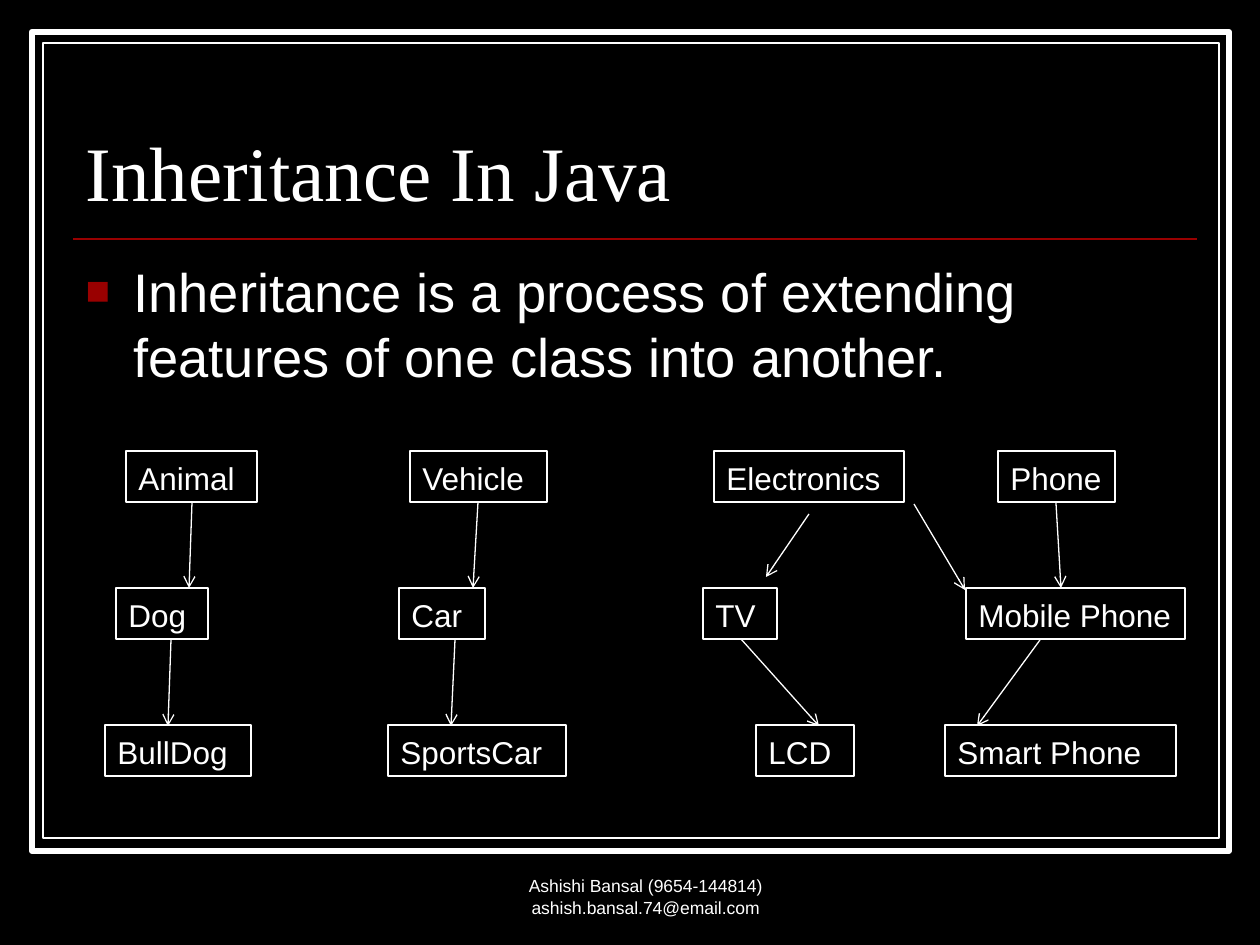
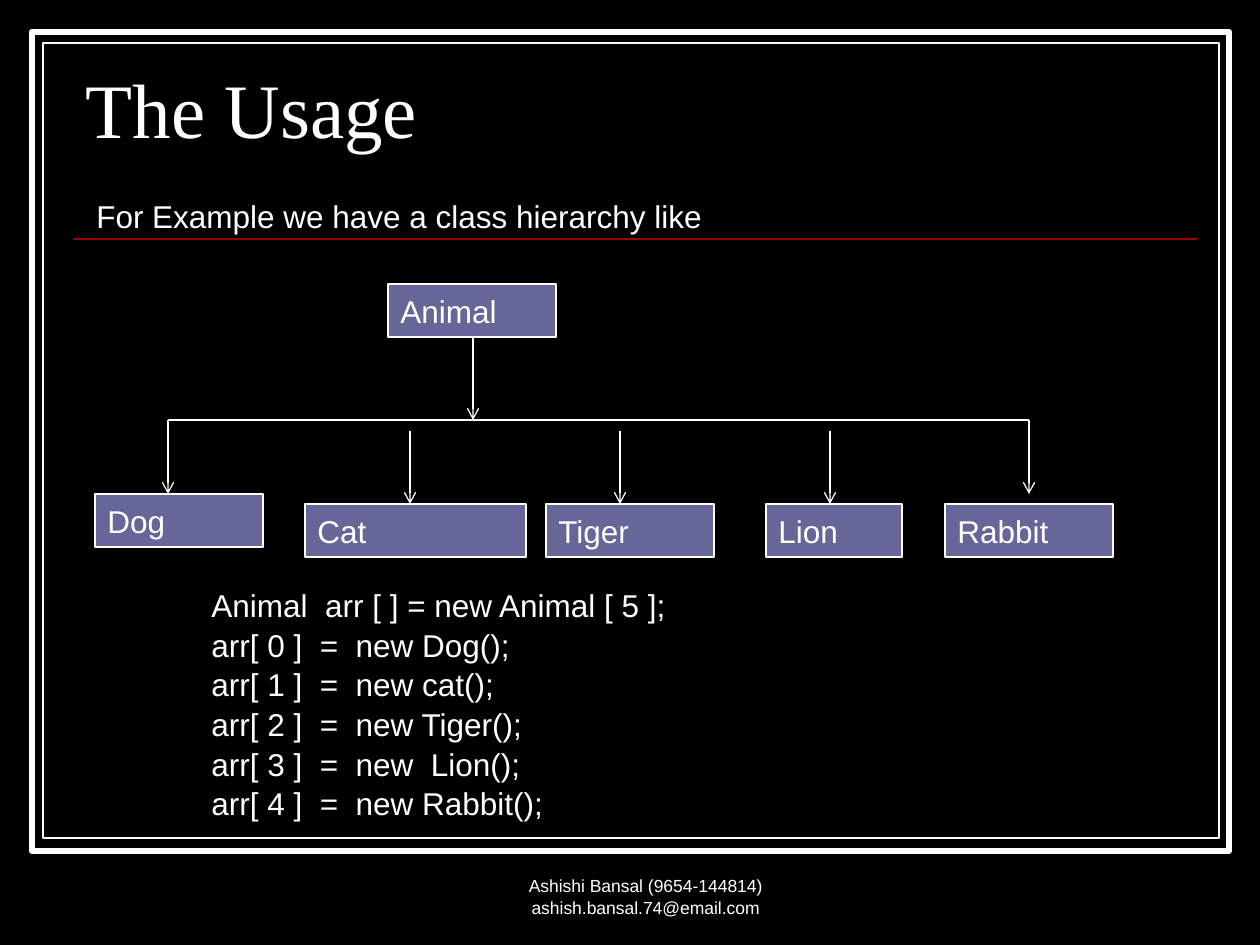
from lxml import etree
from pptx import Presentation
from pptx.dml.color import RGBColor
from pptx.enum.shapes import MSO_CONNECTOR, MSO_SHAPE
from pptx.enum.text import MSO_ANCHOR, MSO_AUTO_SIZE, PP_ALIGN
from pptx.oxml.ns import qn
from pptx.util import Emu, Pt

BLACK = RGBColor(0x00, 0x00, 0x00)
WHITE = RGBColor(0xFF, 0xFF, 0xFF)
RED = RGBColor(0x99, 0x00, 0x00)
VIOLET = RGBColor(0x66, 0x66, 0x99)

RECT = MSO_SHAPE.RECTANGLE
STRAIGHT = MSO_CONNECTOR.STRAIGHT
TOP = MSO_ANCHOR.TOP
BOTTOM = MSO_ANCHOR.BOTTOM
NO_AUTOFIT = MSO_AUTO_SIZE.NONE
LEFT = PP_ALIGN.LEFT
CENTER = PP_ALIGN.CENTER

SANS = "Arial"
SERIF = "Times New Roman"
PX_PER_INCH = 126
SLIDE_W, SLIDE_H = 1260, 945
TITLE_AND_CONTENT, TITLE_ONLY = 1, 5
FOOTER = "Ashishi Bansal (9654-144814) ashish.bansal.74@email.com"

ROW_TOPS = (451, 588, 725)
CLASS_ROWS = (
    (("Animal", 126, 131), ("Vehicle", 410, 137),
     ("Electronics", 714, 190), ("Phone", 998, 117)),
    (("Dog", 116, 92), ("Car", 399, 86),
     ("TV", 703, 74), ("Mobile Phone", 966, 219)),
    (("BullDog", 105, 146), ("SportsCar", 388, 178),
     ("LCD", 756, 98), ("Smart Phone", 945, 231)),
)
EXTENDS_ARROWS = (
    (192, 503, 189, 588), (171, 640, 168, 726),
    (478, 503, 473, 588), (455, 640, 451, 726),
    (809, 514, 766, 577), (741, 639, 819, 726),
    (914, 504, 965, 590), (1040, 640, 977, 726),
    (1056, 503, 1061, 588),
)
SUBCLASSES = (
    ("Dog", 95, 494, 168), ("Cat", 305, 504, 221), ("Tiger", 546, 504, 168),
    ("Lion", 766, 504, 136), ("Rabbit", 945, 504, 168),
)
CODE = (
    "Animal  arr [ ] = new Animal [ 5 ];",
    "arr[ 0 ]  =  new Dog();",
    "arr[ 1 ]  =  new cat();",
    "arr[ 2 ]  =  new Tiger();",
    "arr[ 3 ]  =  new  Lion();",
    "arr[ 4 ]  =  new Rabbit();",
)


def px(*lengths):
    return [Emu(round(n * 914400 / PX_PER_INCH)) for n in lengths]


def write(tf, lines, size, font=SANS, align=LEFT, anchor=TOP, spacing=1.0):
    tf.word_wrap = True
    tf.auto_size = NO_AUTOFIT
    tf.vertical_anchor = anchor
    tf.text = "\n".join(lines)
    for p in tf.paragraphs:
        p.alignment = align
        p.line_spacing = spacing
        p.font.size = Pt(size)
        p.font.name = font
        p.font.color.rgb = WHITE


def place(sp, left, top, width, height):
    sp.left, sp.top, sp.width, sp.height = px(left, top, width, height)


def add_rect(slide, left, top, width, height, fill=None, line_width=0.75):
    sp = slide.shapes.add_shape(RECT, *px(left, top, width, height))
    sp.shadow.inherit = False
    if fill is None:
        sp.fill.background()
    else:
        sp.fill.solid()
        sp.fill.fore_color.rgb = fill
    sp.line.color.rgb = WHITE
    sp.line.width = Pt(line_width)
    return sp


def add_class_box(slide, name, left, top, width, height, fill=None):
    sp = add_rect(slide, left, top, width, height, fill)
    sp.text_frame.margin_right = 0
    write(sp.text_frame, [name], 18, spacing=1.05)


def add_line(slide, x1, y1, x2, y2, color=WHITE, width=0.75):
    line = slide.shapes.add_connector(STRAIGHT, *px(x1, y1, x2, y2))
    line.line.color.rgb = color
    line.line.width = Pt(width)
    etree.SubElement(line._element.spPr, qn("a:effectLst"))
    return line


def add_arrow(slide, x1, y1, x2, y2):
    line = add_line(slide, x1, y1, x2, y2)
    etree.SubElement(line.get_or_add_ln(), qn("a:tailEnd"), type="arrow")


def add_text(slide, lines, left, top, width, height, size=18, **style):
    sp = slide.shapes.add_textbox(*px(left, top, width, height))
    write(sp.text_frame, lines, size, **style)


def set_title(slide, text, top, height):
    title = slide.shapes.title
    place(title, 73, top, 1124, height)
    write(title.text_frame, [text], 44, SERIF, anchor=BOTTOM, spacing=0.8)


def set_bullet(p):
    pPr = p._p.get_or_add_pPr()
    indent = px(48)[0]
    pPr.set("marL", str(indent))
    pPr.set("indent", str(-indent))
    color = etree.Element(qn("a:buClr"))
    etree.SubElement(color, qn("a:srgbClr"), val=str(RED))
    size = etree.Element(qn("a:buSzPct"), val="75000")
    font = etree.Element(qn("a:buFont"), typeface=SANS)
    char = etree.Element(qn("a:buChar"), char="■")
    at = list(pPr).index(pPr.find(qn("a:defRPr")))
    pPr[at:at] = [color, size, font, char]


def set_body(slide, text):
    body = slide.placeholders[1]
    place(body, 73, 252, 1124, 136)
    write(body.text_frame, [text], 31)
    set_bullet(body.text_frame.paragraphs[0])


def build_master(prs, slide):
    master = prs.slide_master
    master.background.fill.solid()
    master.background.fill.fore_color.rgb = BLACK
    frame = (
        add_rect(slide, 32, 32, 1197, 819, BLACK, 3.5),
        add_rect(slide, 43, 43, 1176, 795, BLACK),
        add_line(slide, 73, 239, 1197, 239, RED, 1),
    )
    for i, sp in enumerate(frame):
        sp._element.xpath(".//p:cNvPr")[0].set("id", str(100 + i))
        master.shapes._spTree.insert(2 + i, sp._element)


def add_footer(slide):
    add_text(slide, [FOOTER], 446, 861, 399, 63, 10,
             align=CENTER, anchor=BOTTOM, spacing=1.05)


def build_inheritance(slide):
    set_title(slide, "Inheritance In Java", 65, 158)
    set_body(slide, "Inheritance is a process of extending "
                    "features of one class into another.")
    add_footer(slide)
    for top, row in zip(ROW_TOPS, CLASS_ROWS):
        for name, left, width in row:
            add_class_box(slide, name, left, top, width, 51)
    for ends in EXTENDS_ARROWS:
        add_arrow(slide, *ends)


def build_usage(slide):
    set_title(slide, "The Usage", 63, 97)
    add_footer(slide)
    add_text(slide, ["For Example we have a class hierarchy like"],
             84, 189, 645, 51, spacing=1.05)
    add_class_box(slide, "Animal", 388, 284, 168, 53, VIOLET)
    add_arrow(slide, 473, 337, 473, 420)
    add_line(slide, 168, 420, 1029, 420)
    for x in (168, 1029):
        add_arrow(slide, x, 420, x, 494)
    for x in range(410, 831, 210):
        add_arrow(slide, x, 431, x, 504)
    for name, left, top, width in SUBCLASSES:
        add_class_box(slide, name, left, top, width, 53, VIOLET)
    add_text(slide, CODE, 199, 578, 484, 240, spacing=1.05)


def main():
    prs = Presentation()
    prs.slide_width, prs.slide_height = px(SLIDE_W, SLIDE_H)
    inheritance = prs.slides.add_slide(prs.slide_layouts[TITLE_AND_CONTENT])
    usage = prs.slides.add_slide(prs.slide_layouts[TITLE_ONLY])
    build_master(prs, inheritance)
    build_inheritance(inheritance)
    build_usage(usage)
    prs.save("out.pptx")


if __name__ == "__main__":
    main()
